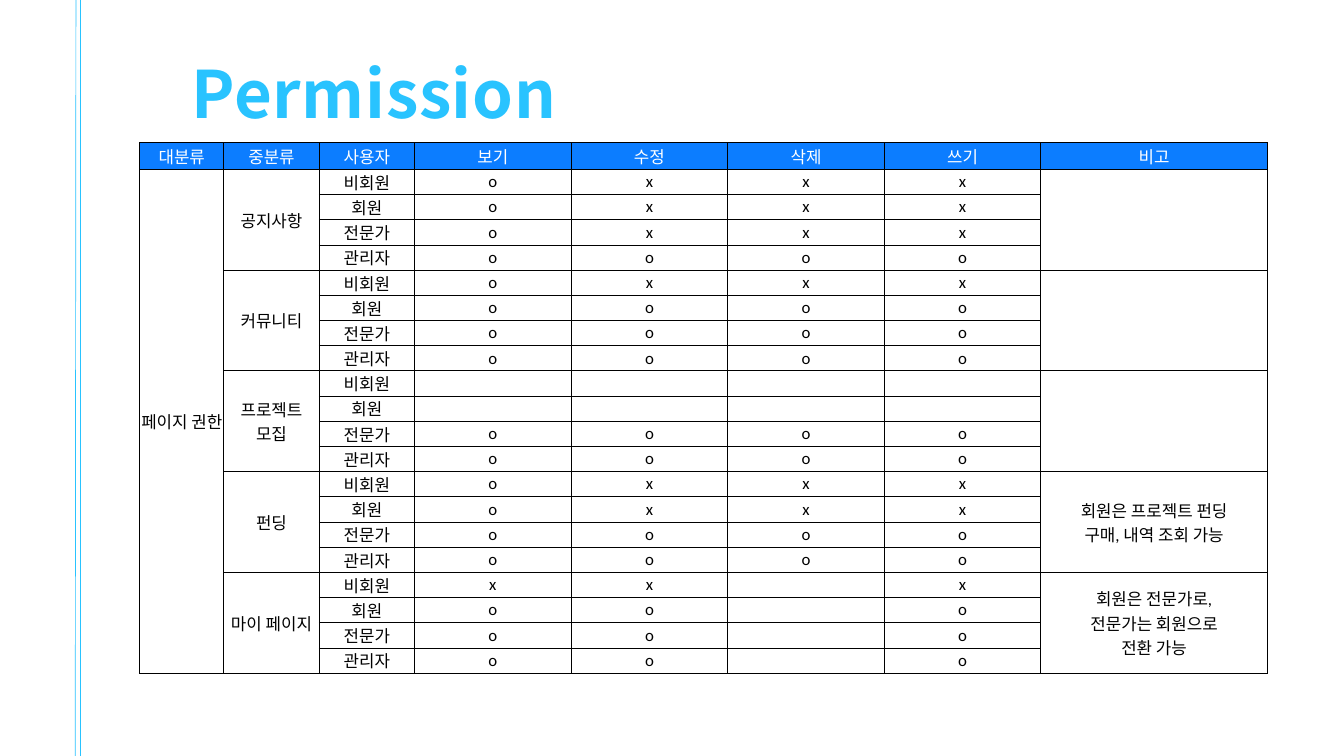
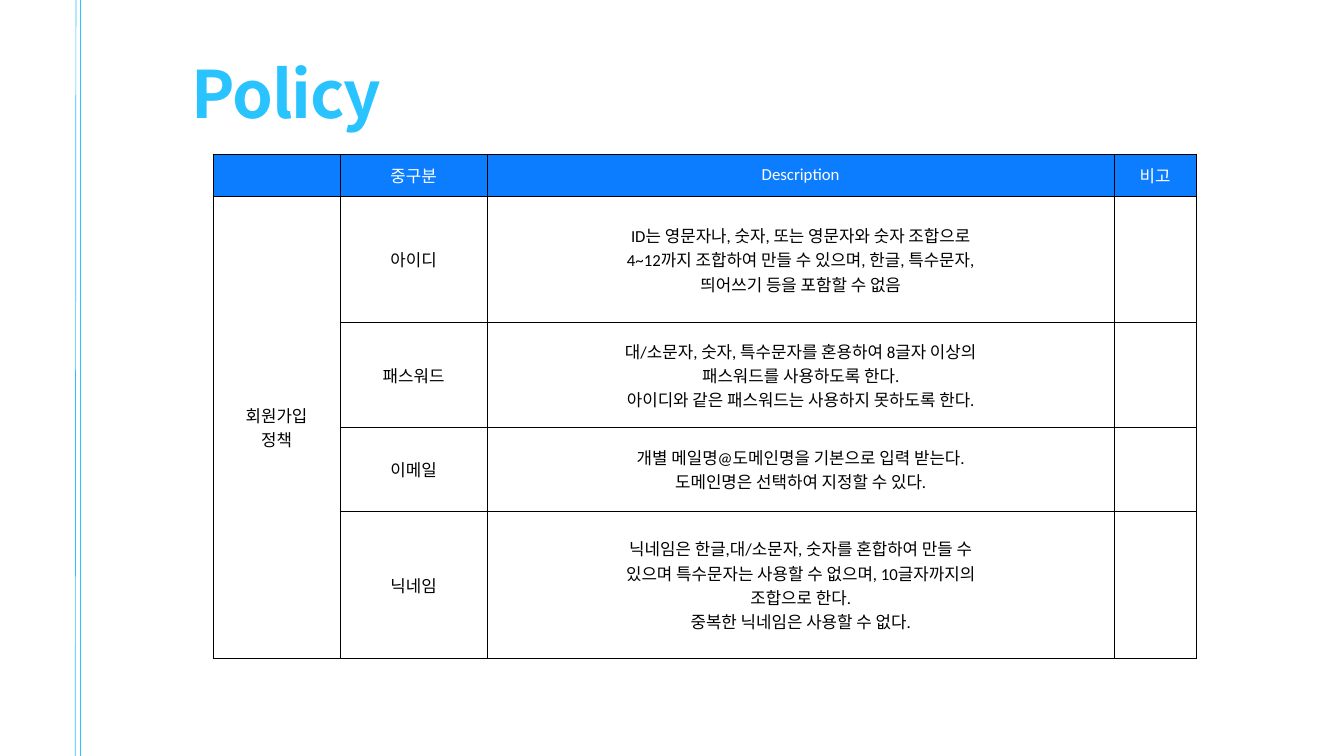
from lxml import etree
from pptx import Presentation
from pptx.dml.color import RGBColor
from pptx.enum import shapes, text
from pptx.oxml import ns
from pptx.util import Inches, Pt

SKY = RGBColor(0x29, 0xC3, 0xFF)
BLUE = RGBColor(0x0C, 0x7D, 0xFF)
WHITE = RGBColor(0xFF, 0xFF, 0xFF)
BLACK = RGBColor(0, 0, 0)
TITLE_FONT = "Noto Sans CJK KR"
TABLE_FONT = "Calibri"
PAGE_WIDTH, PAGE_HEIGHT = 20, 11.25

USERS = ["비회원", "회원", "전문가", "관리자"]
PERMISSION_HEADER = ["대분류", "중분류", "사용자", "보기", "수정", "삭제", "쓰기", "비고"]
PERMISSION_SECTIONS = [
    ("공지사항", ["oxxx", "oxxx", "oxxx", "oooo"], ""),
    ("커뮤니티", ["oxxx", "oooo", "oooo", "oooo"], ""),
    ("프로젝트\n모집", ["    ", "    ", "oooo", "oooo"], ""),
    ("펀딩", ["oxxx", "oxxx", "oooo", "oooo"],
     "회원은 프로젝트 펀딩\n구매, 내역 조회 가능"),
    ("마이 페이지", ["xx x", "oo o", "oo o", "oo o"],
     "회원은 전문가로,\n전문가는 회원으로\n전환 가능"),
]

POLICY_HEADER = ["", "중구분", "Description", "비고"]
POLICIES = [
    ("아이디", "ID는 영문자나, 숫자, 또는 영문자와 숫자 조합으로\n"
     "4~12까지 조합하여 만들 수 있으며, 한글, 특수문자,\n"
     "띄어쓰기 등을 포함할 수 없음"),
    ("패스워드", "대/소문자, 숫자, 특수문자를 혼용하여 8글자 이상의\n"
     "패스워드를 사용하도록 한다.\n"
     "아이디와 같은 패스워드는 사용하지 못하도록 한다."),
    ("이메일", "개별 메일명@도메인명을 기본으로 입력 받는다.\n"
     "도메인명은 선택하여 지정할 수 있다."),
    ("닉네임", "닉네임은 한글,대/소문자, 숫자를 혼합하여 만들 수\n"
     "있으며 특수문자는 사용할 수 없으며, 10글자까지의\n"
     "조합으로 한다.\n"
     "중복한 닉네임은 사용할 수 없다."),
]


def add_margin_lines(page):
    for bottom_x, top_x in [(1.12, 1.13), (1.19, 1.19)]:
        line = page.shapes.add_connector(
            shapes.MSO_CONNECTOR.STRAIGHT,
            Inches(bottom_x), Inches(PAGE_HEIGHT), Inches(top_x), 0)
        line.line.color.rgb = SKY
        line.line.width = Pt(0.75)
        etree.SubElement(line._element.spPr, ns.qn("a:effectLst"))


def add_title(page, title, spacing, left=2.85, top=0.21, width=12.77, height=1.75):
    box = page.shapes.add_textbox(Inches(left), Inches(top), Inches(width), Inches(height))
    frame = box.text_frame
    frame.word_wrap = True
    frame.auto_size = text.MSO_AUTO_SIZE.SHAPE_TO_FIT_TEXT
    frame.margin_left = frame.margin_right = frame.margin_top = frame.margin_bottom = 0
    para = frame.paragraphs[0]
    para.line_spacing = Pt(126)
    para.font.name = TITLE_FONT
    para.font.size = Pt(70)
    para.font.bold = True
    para.font.color.rgb = SKY
    span = para.add_run()
    span.text = title
    span._r.get_or_add_rPr().set("spc", str(round(spacing * 100)))


def add_page(deck, title, spacing):
    page = deck.slides.add_slide(deck.slide_layouts[6])
    add_margin_lines(page)
    add_title(page, title, spacing)
    return page


def add_borders(cell):
    properties = cell._tc.get_or_add_tcPr()
    for side in ("lnL", "lnR", "lnT", "lnB"):
        border = etree.SubElement(properties, ns.qn(f"a:{side}"), w=str(Pt(1)))
        fill = etree.SubElement(border, ns.qn("a:solidFill"))
        etree.SubElement(fill, ns.qn("a:srgbClr"), val=str(BLACK))


def style_cell(cell, words, is_header):
    add_borders(cell)
    if is_header:
        cell.fill.solid()
        cell.fill.fore_color.rgb = BLUE
    else:
        cell.fill.background()
    cell.vertical_anchor = text.MSO_ANCHOR.MIDDLE
    cell.margin_left = cell.margin_right = Inches(0.01)
    cell.margin_top = cell.margin_bottom = 0
    para = cell.text_frame.paragraphs[0]
    para.text = words or ""
    para.alignment = text.PP_ALIGN.CENTER
    para.font.name = TABLE_FONT
    para.font.size = Pt(18)
    para.font.bold = False
    para.font.color.rgb = WHITE if is_header else BLACK


def merge_down(table, rows):
    for column in range(len(rows[0])):
        start = 0
        for end in range(1, len(rows) + 1):
            if end == len(rows) or rows[end][column] is not None:
                if end - start > 1:
                    table.cell(start, column).merge(table.cell(end - 1, column))
                start = end


def add_grid(page, left, top, widths, heights, rows):
    table = page.shapes.add_table(
        len(rows), len(widths), Inches(left), Inches(top),
        Inches(sum(widths)), Inches(sum(heights))).table
    table.horz_banding = False
    for column, width in zip(table.columns, widths):
        column.width = Inches(width)
    for row, height in zip(table.rows, heights):
        row.height = Inches(height)
    for row_index, row in enumerate(rows):
        for column_index, words in enumerate(row):
            style_cell(table.cell(row_index, column_index), words, row_index == 0)
    merge_down(table, rows)


def build_permission(deck):
    page = add_page(deck, "Permission", 0.8)
    rows = [PERMISSION_HEADER]
    for section, marks, remark in PERMISSION_SECTIONS:
        for index, (user, row_marks) in enumerate(zip(USERS, marks)):
            first = index == 0
            rows.append([
                "페이지 권한" if len(rows) == 1 else None,
                section if first else None,
                user,
                *[mark.strip() for mark in row_marks],
                remark if first else None,
            ])
    widths = [1.25] + [1.42] * 2 + [2.33] * 4 + [3.37]
    heights = [0.4] + [0.375] * (len(rows) - 1)
    add_grid(page, 2.08, 2.12, widths, heights, rows)


def build_policy(deck):
    page = add_page(deck, "Policy", -1.2)
    rows = [POLICY_HEADER]
    for index, (item, description) in enumerate(POLICIES):
        rows.append(["회원가입\n정책" if index == 0 else None, item, description, ""])
    add_grid(page, 3.17, 2.29, [1.89, 2.19, 9.33, 1.22],
             [0.63, 1.88, 1.56, 1.25, 2.19], rows)


def main():
    deck = Presentation()
    deck.slide_width = Inches(PAGE_WIDTH)
    deck.slide_height = Inches(PAGE_HEIGHT)
    build_permission(deck)
    build_policy(deck)
    deck.save("out.pptx")


if __name__ == "__main__":
    main()
